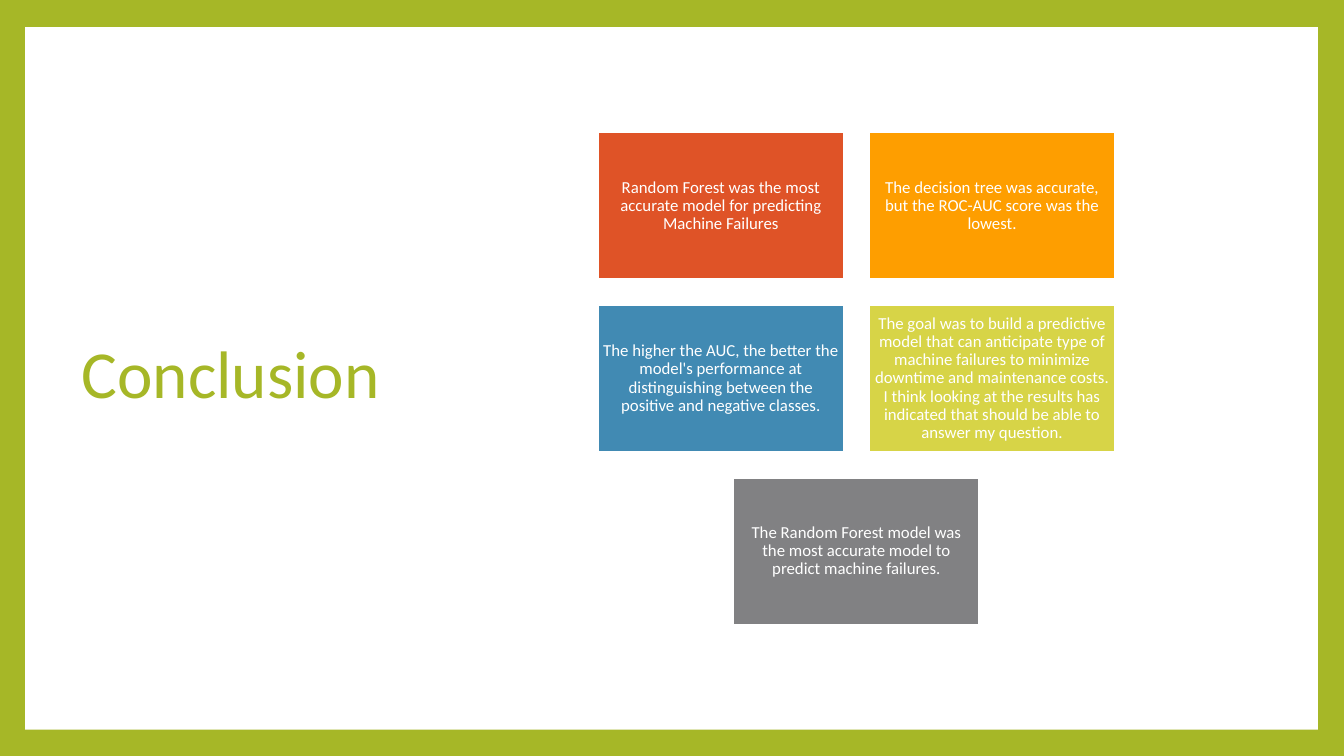
from dataclasses import dataclass

from pptx import Presentation
from pptx.dml.color import RGBColor
from pptx.enum.shapes import MSO_SHAPE
from pptx.enum.text import MSO_ANCHOR, PP_ALIGN
from pptx.util import Inches, Pt


@dataclass(frozen=True)
class Theme:
    font: str = "Calibri"
    green: str = "A6B727"
    white: str = "FFFFFF"
    card_fills: tuple = ("DF5327", "FE9E00", "418AB3", "D7D447", "818183")
    title_size: int = 48
    card_size: int = 12
    card_border: float = 1.5
    line_spacing: float = 0.9


THEME = Theme()

FINDINGS = (
    "Random Forest was the most accurate model for predicting Machine Failures",
    "The decision tree was accurate, but the ROC-AUC score was the lowest.",
    "The higher the AUC, the better the model's performance at distinguishing "
    "between the positive and negative classes.",
    "The goal was to build a predictive model that can anticipate type of machine "
    "failures to minimize downtime and maintenance costs. I think looking at the "
    "results has indicated that should be able to answer my question.",
    "The Random Forest model was the most accurate model to predict machine failures.",
)


def write_text(frame, text, size, color, align=PP_ALIGN.LEFT, inset=(0.1, 0.05)):
    """Fill a text frame; inset is (horizontal, vertical) in inches."""
    frame.word_wrap = True
    frame.vertical_anchor = MSO_ANCHOR.MIDDLE
    frame.margin_left = frame.margin_right = Inches(inset[0])
    frame.margin_top = frame.margin_bottom = Inches(inset[1])
    paragraph = frame.paragraphs[0]
    paragraph.alignment = align
    paragraph.line_spacing = THEME.line_spacing
    run = paragraph.add_run()
    run.text = text
    run.font.name = THEME.font
    run.font.size = Pt(size)
    run.font.color.rgb = RGBColor.from_string(color)


def add_panel(slide, box, fill, border=None):
    """Add a filled rectangle, with a white outline if border (points) is given."""
    panel = slide.shapes.add_shape(MSO_SHAPE.RECTANGLE, *map(Inches, box))
    panel.shadow.inherit = False
    panel.fill.solid()
    panel.fill.fore_color.rgb = RGBColor.from_string(fill)
    if border:
        panel.line.color.rgb = RGBColor.from_string(THEME.white)
        panel.line.width = Pt(border)
    else:
        panel.line.fill.background()
    return panel


def add_frame(slide, box):
    """Colour the background and lay the white page over it."""
    background = slide.background.fill
    background.solid()
    background.fore_color.rgb = RGBColor.from_string(THEME.green)
    add_panel(slide, box, THEME.white)


def add_title(slide, box, text):
    title = slide.shapes.add_textbox(*map(Inches, box))
    write_text(title.text_frame, text, THEME.title_size, THEME.green)


def add_finding_cards(slide, box, findings, columns=2, gap=0.25):
    """Lay cards out in rows, centring a row that is not full."""
    left, top, width, height = box
    rows = -(-len(findings) // columns)
    card_width = (width - gap * (columns - 1)) / columns
    card_height = (height - gap * (rows - 1)) / rows
    for index, (finding, fill) in enumerate(zip(findings, THEME.card_fills)):
        row, column = divmod(index, columns)
        cards_in_row = min(columns, len(findings) - row * columns)
        indent = (columns - cards_in_row) * (card_width + gap) / 2
        card_box = (left + indent + column * (card_width + gap),
                    top + row * (card_height + gap), card_width, card_height)
        card = add_panel(slide, card_box, fill, THEME.card_border)
        write_text(card.text_frame, finding, THEME.card_size, THEME.white,
                   align=PP_ALIGN.CENTER, inset=(0.05, 0.05))


def main():
    deck = Presentation()
    deck.slide_width, deck.slide_height = Inches(13.33), Inches(7.5)
    slide = deck.slides.add_slide(deck.slide_layouts[6])
    add_frame(slide, (0.25, 0.27, 12.82, 6.97))
    add_title(slide, (0.71, 0.67, 3.68, 6.13), "Conclusion")
    add_finding_cards(slide, (5.93, 1.31, 5.13, 4.89), FINDINGS)
    deck.save("out.pptx")


if __name__ == "__main__":
    main()
